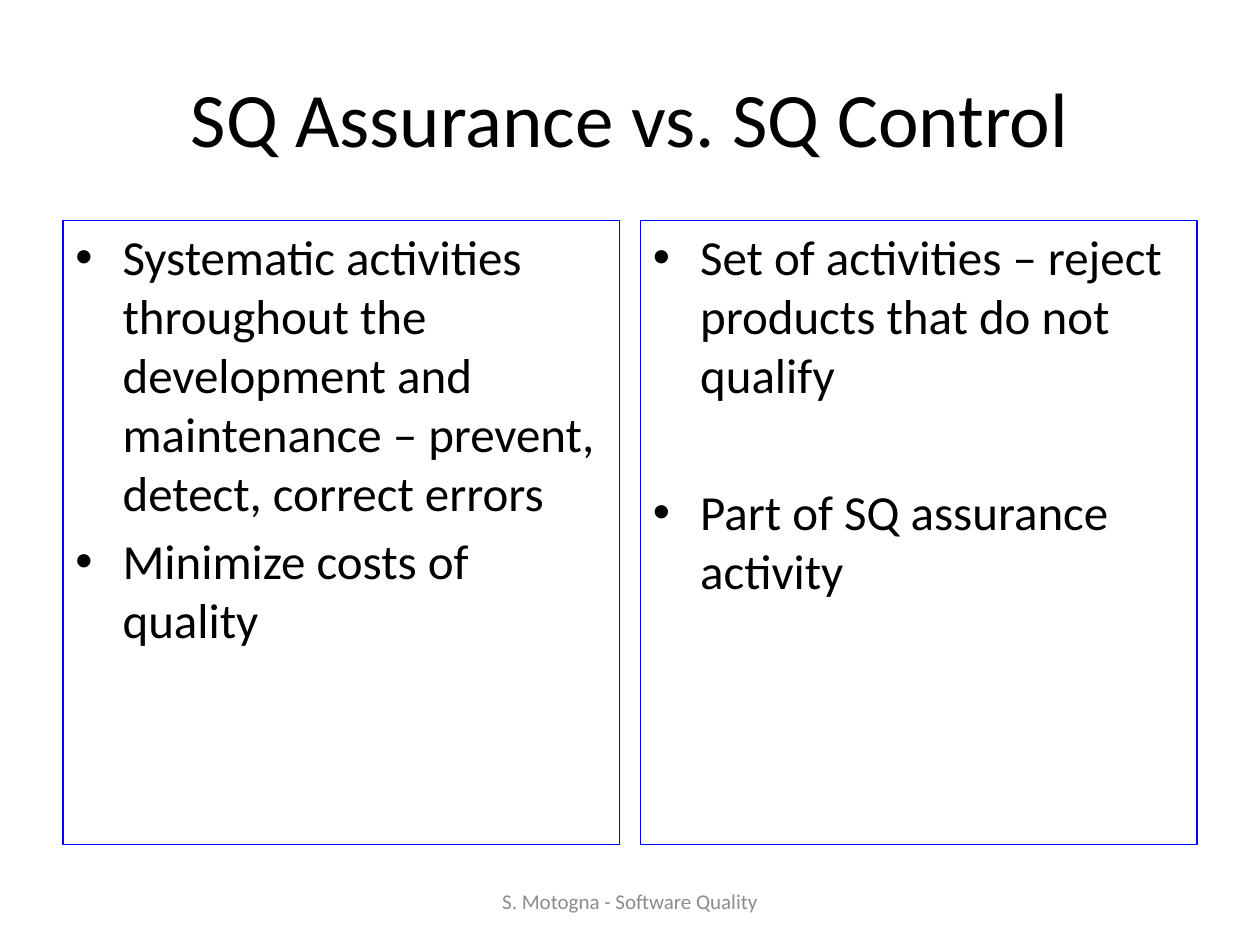
from lxml import etree
from pptx import Presentation
from pptx.dml.color import RGBColor
from pptx.enum import shapes, text
from pptx.oxml import ns
from pptx.util import Pt


def rgb(value):
    return RGBColor.from_string(value)


class Deck:
    font = "Calibri"
    ink = "000000"
    border = "0000FF"
    muted = "8C8C8C"

    def __init__(self, width, height):
        self.prs = Presentation()
        self.prs.slide_width, self.prs.slide_height = Pt(width), Pt(height)
        self.s = self.prs.slides.add_slide(self.prs.slide_layouts[5])

    def frame(self, sp, anchor):
        tf = sp.text_frame
        values = {
            "word_wrap": True,
            "auto_size": text.MSO_AUTO_SIZE.NONE,
            "vertical_anchor": anchor,
            "margin_left": Pt(7.2),
            "margin_right": Pt(7.2),
            "margin_top": Pt(3.6),
            "margin_bottom": Pt(3.6),
        }
        for name, value in values.items():
            setattr(tf, name, value)
        return tf

    def add_words(self, p, words, size, color, align):
        p.alignment = align
        r = p.add_run()
        r.text = words
        for name, value in {"name": self.font, "size": Pt(size), "bold": False}.items():
            setattr(r.font, name, value)
        r.font.color.rgb = rgb(color)

    def title(self, words, left, top, width, height):
        sp = self.s.shapes.title
        box = {"left": left, "top": top, "width": width, "height": height}
        for name, value in box.items():
            setattr(sp, name, Pt(value))
        tf = self.frame(sp, text.MSO_ANCHOR.MIDDLE)
        self.add_words(tf.paragraphs[0], words, 44, self.ink, text.PP_ALIGN.CENTER)

    def bullet_box(self, items, left, top, width, height):
        sp = self.s.shapes.add_shape(
            shapes.MSO_SHAPE.RECTANGLE, Pt(left), Pt(top), Pt(width), Pt(height)
        )
        sp.shadow.inherit = False
        sp.fill.background()
        sp.line.color.rgb = rgb(self.border)
        sp.line.width = Pt(0.75)
        tf = self.frame(sp, text.MSO_ANCHOR.TOP)
        for i, (words, before) in enumerate(items):
            p = tf.add_paragraph() if i else tf.paragraphs[0]
            self.add_words(p, words, 28, self.ink, text.PP_ALIGN.LEFT)
            p.space_before = Pt(before)
            self.bullet(p)

    def bullet(self, p):
        pPr = p._p.get_or_add_pPr()
        pPr.set("marL", str(Pt(27)))
        pPr.set("indent", str(-Pt(27)))
        etree.SubElement(pPr, ns.qn("a:buFont")).set("typeface", "Arial")
        etree.SubElement(pPr, ns.qn("a:buChar")).set("char", "•")

    def footer(self, words, left, top, width, height):
        sp = self.s.shapes.add_textbox(Pt(left), Pt(top), Pt(width), Pt(height))
        tf = self.frame(sp, text.MSO_ANCHOR.MIDDLE)
        self.add_words(tf.paragraphs[0], words, 12, self.muted, text.PP_ALIGN.CENTER)


def main():
    margin, column, gap = 36, 318, 12
    step, wide_step = 5.6, 45
    columns = [
        [
            (
                "Systematic activities throughout the development and "
                "maintenance – prevent, detect, correct errors",
                step,
            ),
            ("Minimize costs of quality", step),
        ],
        [
            ("Set of activities – reject products that do not qualify", step),
            ("Part of SQ assurance activity", wide_step),
        ],
    ]
    deck = Deck(720, 540)
    deck.title("SQ Assurance vs. SQ Control", margin, 21.6, 648, 90)
    for i, items in enumerate(columns):
        deck.bullet_box(items, margin + i * (column + gap), 126, column, 356.4)
    deck.footer("S. Motogna - Software Quality", 246, 500.4, 228, 28.8)
    deck.prs.save("out.pptx")


if __name__ == "__main__":
    main()
